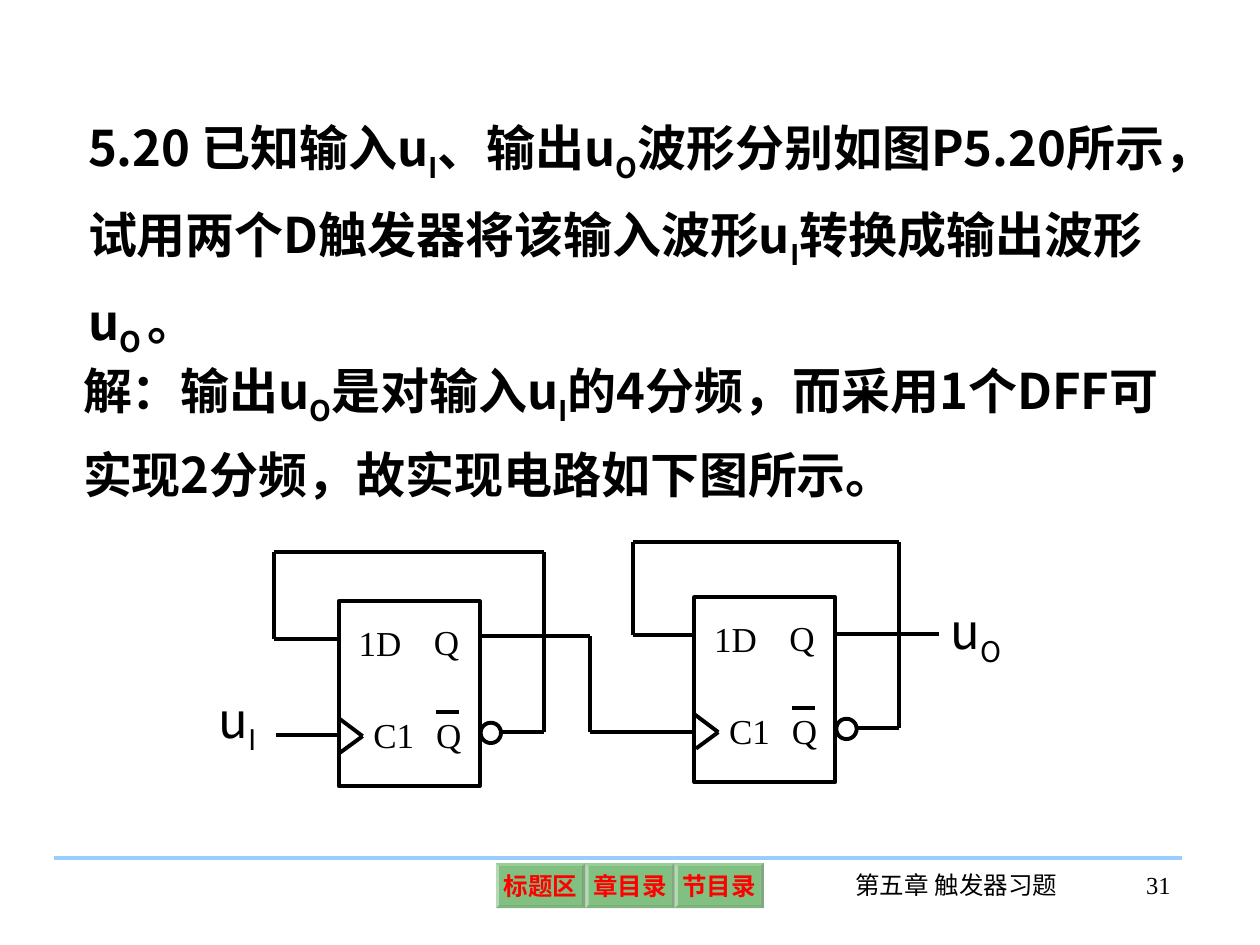
"""Build the slide on dividing a frequency by four with two D flip-flops."""
from dataclasses import dataclass
from itertools import pairwise

from lxml import etree
from pptx import Presentation
from pptx.dml.color import RGBColor
from pptx.enum.shapes import MSO_CONNECTOR, MSO_SHAPE
from pptx.enum.text import MSO_ANCHOR, MSO_AUTO_SIZE, PP_ALIGN
from pptx.oxml.ns import qn
from pptx.util import Cm, Pt

LEFT, MID, RIGHT = PP_ALIGN.LEFT, PP_ALIGN.CENTER, PP_ALIGN.RIGHT
TOP, CORE = MSO_ANCHOR.TOP, MSO_ANCHOR.MIDDLE
FIXED = MSO_AUTO_SIZE.NONE
RECT, OVAL, BEVEL = MSO_SHAPE.RECTANGLE, MSO_SHAPE.OVAL, MSO_SHAPE.BEVEL
LINE = MSO_CONNECTOR.STRAIGHT


@dataclass
class Theme:
    ink: RGBColor = RGBColor(0, 0, 0)
    rule: RGBColor = RGBColor(0x99, 0xCC, 0xFF)
    key: RGBColor = RGBColor(0, 0x80, 0)
    label: RGBColor = RGBColor(0xFF, 0, 0)
    sans: str = "Noto Sans CJK SC"
    serif: str = "Times New Roman"
    big: int = 28
    pin: int = 20
    small: int = 14
    stroke: float = 2.25


theme = Theme()
deck = Presentation()
deck.slide_width, deck.slide_height = Cm(25.4), Cm(19.05)
slide = deck.slides.add_slide(deck.slide_layouts[1])
shapes = slide.shapes


def write(shape, parts, size, face, align=MID, bold=False, color=theme.ink, wrap=True):
    """Fill a shape with runs, every second one a subscript."""
    frame = shape.text_frame
    frame.auto_size, frame.word_wrap = FIXED, wrap
    frame.vertical_anchor = TOP
    para = frame.paragraphs[0]
    para.alignment = align
    para.space_before = Pt(0)
    for i, part in enumerate(parts):
        run = para.add_run()
        run.text = part
        font = run.font
        font.size, font.name, font.bold = Pt(size), face, bold
        font.color.rgb = color
        props = font._element
        etree.SubElement(props, qn("a:ea"), typeface=theme.sans)
        if i % 2:
            props.set("baseline", "-25000")
    return para


def wire(points, color=theme.ink):
    """Join points, given in centimetres, by straight lines."""
    for (x1, y1), (x2, y2) in pairwise(points):
        line = shapes.add_connector(LINE, Cm(x1), Cm(y1), Cm(x2), Cm(y2))
        line.line.color.rgb = color
        line.line.width = Pt(theme.stroke)
        etree.SubElement(line._element.spPr, qn("a:effectLst"))


wire([(1.09, 17.3), (23.83, 17.3)], theme.rule)

task = ["5.20 已知输入u", "I", "、输出u", "O",
        "波形分别如图P5.20所示，试用两个D触发器将该输入波形u", "I",
        "转换成输出波形u", "O ", "。"]
answer = ["解：输出u", "O", "是对输入u", "I",
          "的4分频，而采用1个DFF可实现2分频，故实现电路如下图所示。"]
for holder, parts, x, y, high in [(shapes.title, task, 1.52, 1.83, 5.51),
                                  (slide.placeholders[1], answer, 1.42, 6.73, 3.56)]:
    holder.left, holder.top = Cm(x), Cm(y)
    holder.width, holder.height = Cm(22.28), Cm(high)
    para = write(holder, parts, theme.big, theme.sans, LEFT, True)
    para.line_spacing = 1.3
    props = para._p.get_or_add_pPr()
    props.set("marL", "0")
    props.set("indent", "0")
    etree.SubElement(props, qn("a:buNone"))

pins = [("1D", 0.07, 0.28, 1.52), ("C1", 0.35, 2.13, 1.52),
        ("Q", 1.52, 0.26, 1.3), ("Q", 1.57, 2.14, 1.3)]
for x, y, back, rise in [(6.83, 12.12, 1.3, 1.0), (14.0, 12.04, 1.24, 1.12)]:
    for kind, dx, dy, wide, high in [(RECT, 0, 0, 2.84, 3.73),
                                     (OVAL, 2.86, 2.45, 0.41, 0.41)]:
        part = shapes.add_shape(kind, Cm(x + dx), Cm(y + dy), Cm(wide), Cm(high))
        part.shadow.inherit = False
        part.fill.background()
        part.line.color.rgb = theme.ink
        part.line.width = Pt(theme.stroke)
    for name, dx, dy, wide in pins:
        box = shapes.add_textbox(Cm(x + dx), Cm(y + dy), Cm(wide), Cm(1.12))
        write(box, [name], theme.pin, theme.serif)
    clock = [(0, 2.36), (0.48, 2.72), (0.03, 3.05)]
    bar = [(1.96, 2.24), (2.42, 2.24)]
    loop = [(0, 0.77), (-back, 0.77), (-back, -rise),
            (4.13, -rise), (4.13, 2.64), (3.28, 2.64)]
    for track in (clock, bar, loop):
        wire([(x + dx, y + dy) for dx, dy in track])

wire([(5.56, 14.81), (6.81, 14.81)])
wire([(9.67, 12.83), (11.89, 12.83), (11.89, 14.76), (13.95, 14.76)])
wire([(16.82, 12.78), (18.92, 12.78)])

for sub, x, y, wide in [("I", 4.14, 13.77, 1.3), ("O", 18.9, 11.99, 1.55)]:
    box = shapes.add_textbox(Cm(x), Cm(y), Cm(wide), Cm(1.6))
    write(box, ["u", sub], theme.big, theme.sans, wrap=False)

for i, name in enumerate(["标题区", "章目录", "节目录"]):
    key = shapes.add_shape(BEVEL, Cm(10 + 1.8 * i), Cm(17.4), Cm(1.8), Cm(0.91))
    key.adjustments[0] = 0.07
    key.shadow.inherit = False
    key.line.fill.background()
    key.fill.solid()
    key.fill.fore_color.rgb = theme.key
    tint = key._element.spPr.find(".//" + qn("a:srgbClr"))
    etree.SubElement(tint, qn("a:alpha"), val="49000")
    write(key, [name], theme.small, theme.serif, MID, True, theme.label, False)
    frame = key.text_frame
    frame.vertical_anchor = CORE
    frame.margin_left = frame.margin_right = Cm(0.1)
    frame.margin_top = frame.margin_bottom = Cm(0.1)

for text, x, wide, align in [("第五章 触发器习题", 16.92, 4.72, MID),
                             ("31", 21.67, 2.18, RIGHT)]:
    box = shapes.add_textbox(Cm(x), Cm(17.41), Cm(wide), Cm(1.27))
    write(box, [text], theme.small, theme.serif, align)

deck.save("out.pptx")
